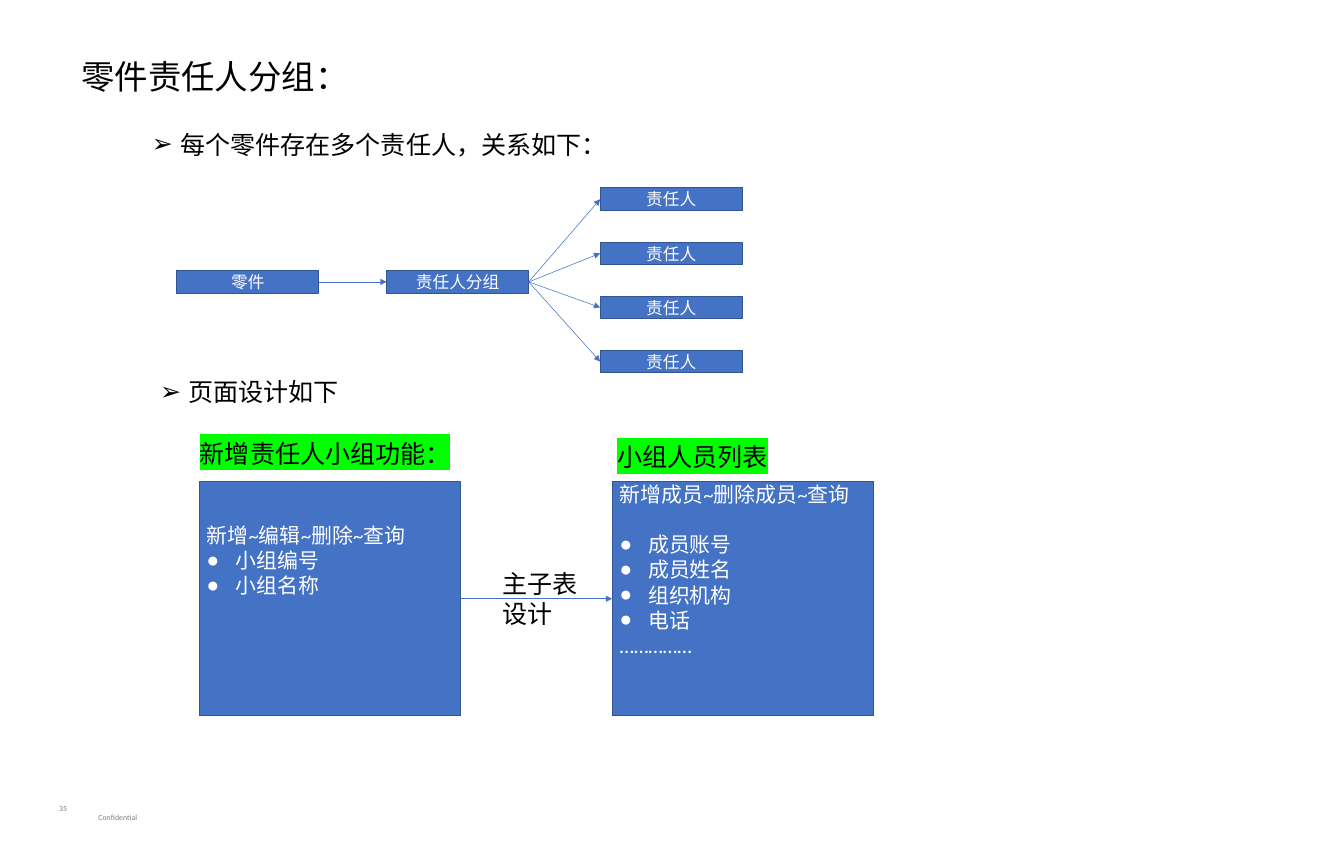
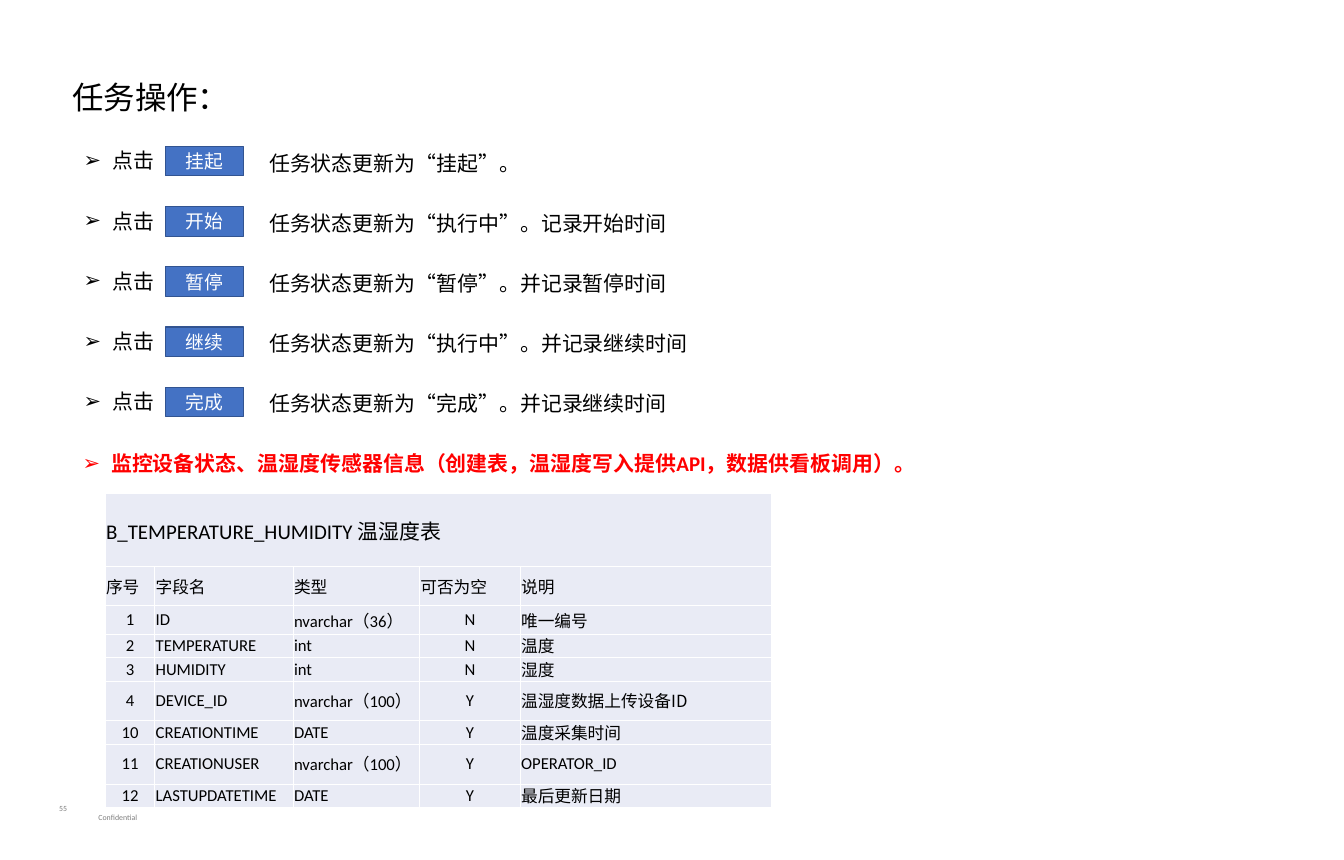
from dataclasses import dataclass
from typing import NamedTuple

from lxml.etree import SubElement
from pptx import Presentation
from pptx.dml.color import RGBColor
from pptx.enum.lang import MSO_LANGUAGE_ID
from pptx.enum.shapes import MSO_CONNECTOR, MSO_SHAPE
from pptx.enum.text import MSO_ANCHOR, MSO_AUTO_SIZE, PP_ALIGN
from pptx.oxml import parse_xml
from pptx.oxml.ns import nsdecls, qn
from pptx.util import Inches, Pt


@dataclass(frozen=True)
class Theme:
    font: str = "Calibri"
    han: str = "Noto Sans CJK SC"
    ink: str = "000000"
    white: str = "FFFFFF"
    gray: str = "7F7F7F"
    red: str = "FF0000"
    blue: str = "4472C4"
    edge: str = "325491"
    pale: str = "E9EBF5"
    green: str = "00FF00"
    head: float = 32
    title: float = 30.1
    lead: float = 24
    body: float = 20
    key: float = 18
    node: float = 16
    foot: float = 7.5


class Box(NamedTuple):
    left: float
    top: float
    width: float
    height: float

    def place(self) -> list:
        return [Inches(side) for side in self]


class Line(NamedTuple):
    text: str
    mark: str = ""
    gap: float = 0


class Card(NamedTuple):
    name: str
    label: Box
    wrap: bool
    left: float
    inset: float
    lines: list


class Task(NamedTuple):
    key: str
    note: str


T = Theme()
ARROW = "➢"
DOT = "●"

NODE = (1.89, 0.3)
CARDS = [
    Card("新增责任人小组功能：", Box(2.56, 5.78, 3.56, 0.5), True, 2.65, 0.54,
         [Line("新增~编辑~删除~查询"), Line("小组编号", DOT), Line("小组名称", DOT)]),
    Card("小组人员列表", Box(8.11, 5.83, 2.22, 0.5), False, 8.14, 0,
         [Line("新增成员~删除成员~查询"), Line("成员账号", DOT, 24),
          Line("成员姓名", DOT), Line("组织机构", DOT), Line("电话", DOT),
          Line("……………")]),
]
TASKS = [
    Task("挂起", "任务状态更新为“挂起”。"),
    Task("开始", "任务状态更新为“执行中”。记录开始时间"),
    Task("暂停", "任务状态更新为“暂停”。并记录暂停时间"),
    Task("继续", "任务状态更新为“执行中”。并记录继续时间"),
    Task("完成", "任务状态更新为“完成”。并记录继续时间"),
]
FIELDS = [
    ("序号", "字段名", "类型", "可否为空", "说明"),
    ("1", "ID", "nvarchar（36）", "N", "唯一编号"),
    ("2", "TEMPERATURE", "int", "N", "温度"),
    ("3", "HUMIDITY", "int", "N", "湿度"),
    ("4", "DEVICE_ID", "nvarchar（100）", "Y", "温湿度数据上传设备ID"),
    ("10", "CREATIONTIME", "DATE", "Y", "温度采集时间"),
    ("11", "CREATIONUSER", "nvarchar（100）", "Y", "OPERATOR_ID"),
    ("12", "LASTUPDATETIME", "DATE", "Y", "最后更新日期"),
]
HAN_ROWS = range(2, 6)
WIDTHS = (0.66, 1.84, 1.68, 1.34, 3.34)
HEIGHTS = (0.97, 0.52, 0.39) + (0.31,) * 6


def rgb(code: str) -> RGBColor:
    return RGBColor.from_string(code)


def write(frame, *lines, size=T.body, color=T.ink, bold=False, face=T.font,
          align=PP_ALIGN.LEFT, glow="", pitch=1.0) -> None:
    for i, line in enumerate(lines):
        line = Line(line) if isinstance(line, str) else line
        para = frame.add_paragraph() if i else frame.paragraphs[0]
        para.alignment = align
        para.line_spacing = pitch
        if line.gap:
            para.space_before = Pt(line.gap)
        if line.mark:
            props = para._p.get_or_add_pPr()
            props.set("marL", str(Inches(0.38)))
            props.set("indent", str(-Inches(0.38)))
            SubElement(props, qn("a:buFont"), typeface="Arial")
            SubElement(props, qn("a:buChar"), char=line.mark)
        run = para.add_run()
        run.text = line.text
        font = run.font
        font.size, font.bold, font.name = Pt(size), bold, face
        font.language_id = MSO_LANGUAGE_ID.SIMPLIFIED_CHINESE
        font.color.rgb = rgb(color)
        if glow:
            run._r.rPr.find(qn("a:solidFill")).addnext(parse_xml(
                f'<a:highlight {nsdecls("a")}><a:srgbClr val="{glow}"/></a:highlight>'))


def fit(frame, wrap: bool, anchor) -> None:
    frame.word_wrap = wrap
    frame.auto_size = MSO_AUTO_SIZE.NONE
    frame.vertical_anchor = anchor


def label(slide, box: Box, *lines, wrap=True, anchor=MSO_ANCHOR.TOP, **form) -> None:
    frame = slide.shapes.add_textbox(*box.place()).text_frame
    fit(frame, wrap, anchor)
    write(frame, *lines, **form)


def block(slide, box: Box, *lines, anchor=MSO_ANCHOR.MIDDLE,
          align=PP_ALIGN.CENTER, inset=0.05, **form):
    shape = slide.shapes.add_shape(MSO_SHAPE.RECTANGLE, *box.place())
    shape.shadow.inherit = False
    shape.fill.solid()
    shape.fill.fore_color.rgb = rgb(T.blue)
    shape.line.color.rgb = rgb(T.edge)
    shape.line.width = Pt(1)
    fit(shape.text_frame, True, anchor)
    shape.text_frame.margin_top = Inches(inset)
    write(shape.text_frame, *lines, color=T.white, align=align, **form)
    return shape


def join(slide, start, end) -> None:
    link = slide.shapes.add_connector(MSO_CONNECTOR.STRAIGHT, 0, 0, 0, 0)
    link.begin_connect(start, 3)
    link.end_connect(end, 1)
    link.line.color.rgb = rgb(T.blue)
    link.line.width = Pt(0.5)
    SubElement(link.line._get_or_add_ln(), qn("a:tailEnd"), type="triangle")
    SubElement(link._element.spPr, qn("a:effectLst"))


def page(deck, title: str, box: Box, size: float, number: int):
    slide = deck.slides.add_slide(deck.slide_layouts[5])
    head = slide.shapes.title
    head.left, head.top, head.width, head.height = box.place()
    fit(head.text_frame, True, MSO_ANCHOR.TOP)
    write(head.text_frame, title, size=size)
    label(slide, Box(1.21, 10.76, 11.03, 0.23), "Confidential",
          anchor=MSO_ANCHOR.BOTTOM, size=T.foot, color=T.gray)
    label(slide, Box(0.43, 10.64, 0.82, 0.23), str(number),
          align=PP_ALIGN.CENTER, size=T.foot, color=T.gray)
    return slide


def groups(deck) -> None:
    slide = page(deck, "零件责任人分组：", Box(0.98, 0.69, 3.79, 0.64), T.head, 35)
    label(slide, Box(1.92, 1.67, 14.32, 0.5),
          Line("每个零件存在多个责任人，关系如下：", ARROW), size=T.lead)
    label(slide, Box(2.03, 4.96, 14.32, 0.5),
          Line("页面设计如下", ARROW), size=T.lead)

    part = block(slide, Box(2.35, 3.6, *NODE), "零件", size=T.node)
    group = block(slide, Box(5.14, 3.6, *NODE), "责任人分组", size=T.node)
    join(slide, part, group)
    for i in range(4):
        owner = block(slide, Box(7.98, 2.5 + 0.72 * i, *NODE), "责任人", size=T.node)
        join(slide, group, owner)

    panes = []
    for card in CARDS:
        panes.append(block(slide, Box(card.left, 6.41, 3.47, 3.11), *card.lines,
                           anchor=MSO_ANCHOR.TOP, align=PP_ALIGN.LEFT,
                           inset=card.inset))
        label(slide, card.label, card.name, wrap=card.wrap, size=T.lead, glow=T.green)
    join(slide, *panes)
    label(slide, Box(6.58, 7.51, 1.27, 0.91), "主子表", "设计", size=T.lead)


def fill(cell, text: str, **form) -> None:
    cell.fill.solid()
    cell.fill.fore_color.rgb = rgb(T.pale)
    cell.vertical_anchor = MSO_ANCHOR.MIDDLE
    cell.margin_left = cell.margin_right = cell.margin_top = Inches(0.01)
    cell.margin_bottom = 0
    for i, side in enumerate("LRTB"):
        cell._tc.get_or_add_tcPr().insert(i, parse_xml(
            f'<a:ln{side} {nsdecls("a")} w="{Pt(1)}"><a:solidFill>'
            f'<a:srgbClr val="{T.white}"/></a:solidFill></a:ln{side}>'))
    if text:
        write(cell.text_frame, text, **form)


def grid(slide) -> None:
    box = Box(1.4, 6.56, sum(WIDTHS), sum(HEIGHTS))
    table = slide.shapes.add_table(len(HEIGHTS), len(WIDTHS), *box.place()).table
    table.first_row = table.horz_banding = False
    for col, width in zip(table.columns, WIDTHS):
        col.width = Inches(width)
    for row, height in zip(table.rows, HEIGHTS):
        row.height = Inches(height)
    table.cell(0, 0).merge(table.cell(0, len(WIDTHS) - 1))
    for c in range(len(WIDTHS)):
        fill(table.cell(0, c), "" if c else "B_TEMPERATURE_HUMIDITY 温湿度表")
    for r, field in enumerate(FIELDS):
        for c, text in enumerate(field):
            mid = r > 0 and c in (0, 3)
            han = r in HAN_ROWS and c == 4
            fill(table.cell(r + 1, c), text, size=T.node,
                 face=T.han if han else T.font,
                 align=PP_ALIGN.CENTER if mid else PP_ALIGN.LEFT,
                 pitch=0.88 if r > 1 else 1.0)


def tasks(deck) -> None:
    slide = page(deck, "任务操作：", Box(0.86, 0.99, 4.53, 0.61), T.title, 55)
    for i, task in enumerate(TASKS):
        top = 1.92 + 0.8 * i
        label(slide, Box(1.01, top, 1.14, 0.44), Line("点击", ARROW),
              wrap=False, align=PP_ALIGN.CENTER)
        block(slide, Box(2.2, top + 0.03, 1.04, 0.39), task.key, size=T.key)
        label(slide, Box(3.48, top + 0.03, 7, 0.44), task.note)
    label(slide, Box(1, 5.95, 12.8, 0.44),
          Line("监控设备状态、温湿度传感器信息（创建表，温湿度写入提供API，数据供看板调用）。", ARROW),
          color=T.red, bold=True)
    grid(slide)


def main() -> None:
    deck = Presentation()
    deck.slide_width, deck.slide_height = Inches(17.87), Inches(11.44)
    groups(deck)
    tasks(deck)
    deck.save("out.pptx")


if __name__ == "__main__":
    main()
